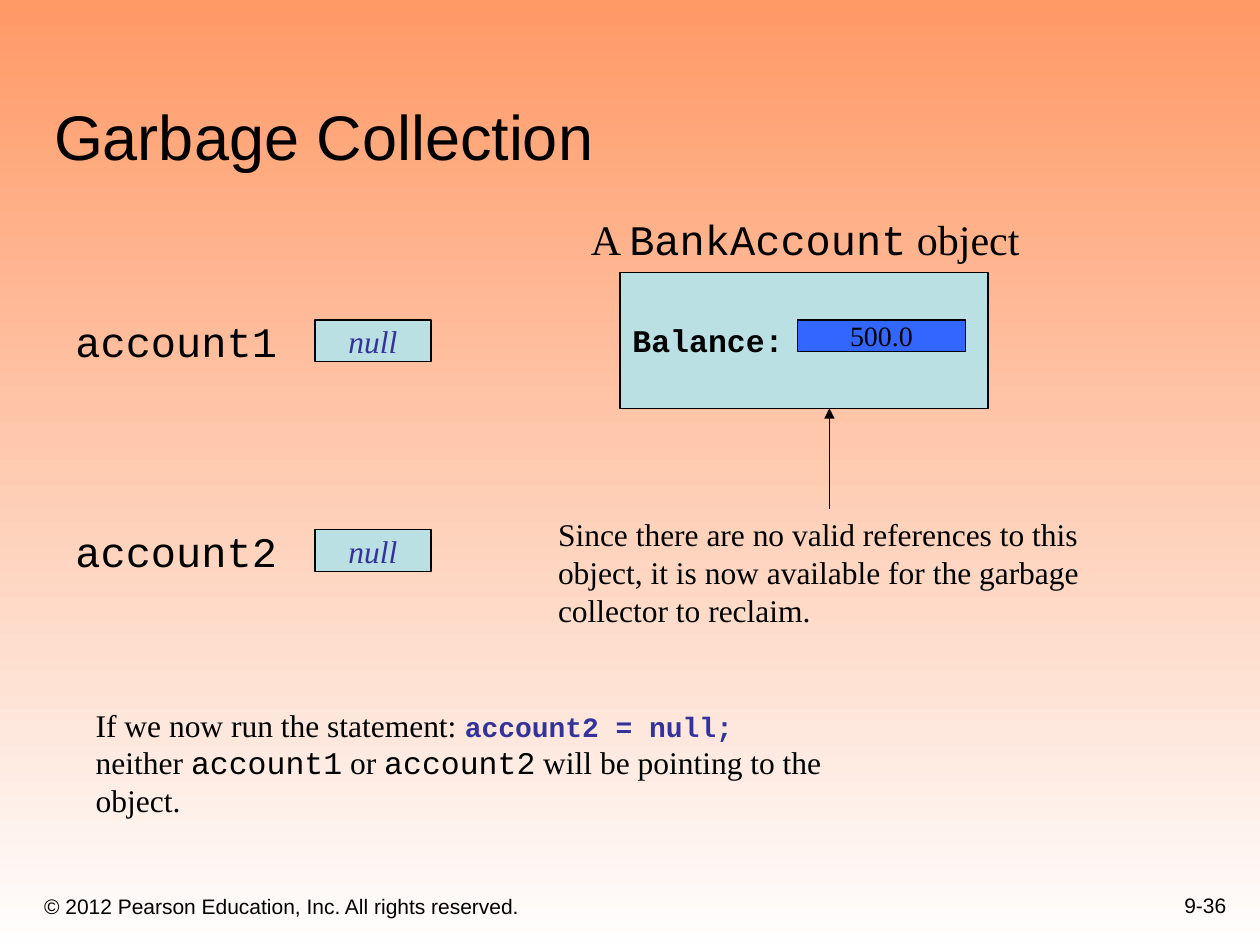
from pptx import Presentation
from pptx import util as u
from pptx.dml.color import RGBColor
from pptx.enum import shapes, text
from pptx.oxml.ns import qn
from lxml import etree

HUES = {"ink": "000000", "code": "333399", "pale": "BBE0E3", "blue": "3366FF",
        "top": "FF9966", "base": "FEFEFE"}
SANS, MONO, SERIF = "Arial", "Courier New", "Times New Roman"
LEFT, MID, RIGHT = text.PP_ALIGN.LEFT, text.PP_ALIGN.CENTER, text.PP_ALIGN.RIGHT
HIGH, HALF, LOW = (text.MSO_ANCHOR.TOP, text.MSO_ANCHOR.MIDDLE,
                   text.MSO_ANCHOR.BOTTOM)


def hue(name):
    return RGBColor.from_string(HUES[name])


def cms(box):
    return [u.Cm(v) for v in box]


def run(words, size, face, tint="ink", bold=False, slant=False):
    return words, size, face, tint, bold, slant


def write(shape, lines, align=LEFT, anchor=HIGH, wrap=True):
    """Fill a shape with lines, each a list of runs."""
    frame = shape.text_frame
    frame.word_wrap = wrap
    frame.vertical_anchor = anchor
    for i, line in enumerate(lines):
        para = frame.add_paragraph() if i else frame.paragraphs[0]
        para.alignment = align
        for words, size, face, tint, bold, slant in line:
            part = para.add_run()
            part.text = words
            font = part.font
            font.size, font.name = u.Pt(size), face
            font.bold, font.italic = bold, slant
            font.color.rgb = hue(tint)


def label(slide, box, lines, **style):
    write(slide.shapes.add_textbox(*cms(box)), lines, **style)


def block(slide, box, fill, line, align=MID):
    """Outlined rectangle with one line of text."""
    rect = slide.shapes.add_shape(shapes.MSO_SHAPE.RECTANGLE, *cms(box))
    rect.shadow.inherit = False
    rect.fill.solid()
    rect.fill.fore_color.rgb = hue(fill)
    rect.line.color.rgb = hue("ink")
    rect.line.width = u.Pt(0.75)
    write(rect, [line], align=align, anchor=HALF, wrap=False)


def arrow(slide, x, start, end):
    line = slide.shapes.add_connector(shapes.MSO_CONNECTOR.STRAIGHT,
                                      *cms((x, start, x, end)))
    line.line.color.rgb = hue("ink")
    line.line.width = u.Pt(0.75)
    props = line._element.spPr
    etree.SubElement(props.find(qn("a:ln")), qn("a:tailEnd"), type="triangle")
    etree.SubElement(props, qn("a:effectLst"))


def backdrop(slide):
    fill = slide.background.fill
    fill.gradient()
    fill.gradient_angle = 270
    for stop, name in zip(fill.gradient_stops, ("top", "base")):
        stop.color.rgb = hue(name)


def footer(slide, x, y):
    label(slide, (x, y + 0.23, 15.44, 1.07),
          [[run("© 2012 Pearson Education, Inc. All rights reserved.", 12, SANS)]],
          anchor=LOW)
    label(slide, (x + 19.05, y, 5.28, 1.27), [[run("9-36", 12, SANS)]],
          align=RIGHT, anchor=LOW)


def pointer(slide, x, y, name):
    """Variable name with the box for its value."""
    label(slide, (x, y, 4.65, 1.27), [[run(name, 24, MONO)]])
    block(slide, (x + 5.08, y + 0.22, 2.34, 0.84), "pale",
          [run("null", 18, SERIF, "code", slant=True)])


def account(slide, x, y, wide, high):
    """Object box with its caption, field and note."""
    label(slide, (x - 0.84, y - 1.32, 9.19, 1.27),
          [[run("A ", 24, SERIF), run("BankAccount", 24, MONO),
            run(" object", 24, SERIF)]], wrap=False)
    block(slide, (x, y, wide, high), "pale",
          [run("Balance:", 18, MONO, bold=True)], align=LEFT)
    block(slide, (x + 3.58, y + 0.96, 3.38, 0.64), "blue",
          [run("500.0", 16, SERIF)])
    foot = y + high
    arrow(slide, x + 4.22, foot + 2.03, foot)
    note = ("Since there are no valid references to this",
            "object, it is now available for the garbage",
            "collector to reclaim.")
    label(slide, (x - 1.5, foot + 2.03, 11.43, 2.54),
          [[run(line, 18, SERIF)] for line in note])


def remark(slide, box):
    label(slide, box, [
        [run("If we now run the statement: ", 18, SERIF),
         run("account2 = null;", 16, MONO, "code", bold=True)],
        [run("neither ", 18, SERIF), run("account1", 18, MONO),
         run(" or ", 18, SERIF), run("account2", 18, MONO),
         run(" will be pointing to the object.", 18, SERIF)],
    ], wrap=False)


def main():
    deck = Presentation()
    deck.slide_width, deck.slide_height = u.Cm(25.4), u.Cm(19.05)
    slide = deck.slides.add_slide(deck.slide_layouts[6])
    backdrop(slide)
    footer(slide, 0.64, 17.35)
    # Title
    label(slide, (0.84, 0.84, 23.93, 2.77),
          [[run("Garbage Collection", 36, SANS)]], anchor=LOW)
    # Diagram
    for i, name in enumerate(("account1", "account2")):
        pointer(slide, 1.27, 6.23 + i * 4.23, name)
    account(slide, 12.5, 5.49, 7.42, 2.74)
    # Statement below the diagram
    remark(slide, (1.68, 14.1, 16.99, 1.78))
    deck.save("out.pptx")


if __name__ == "__main__":
    main()
